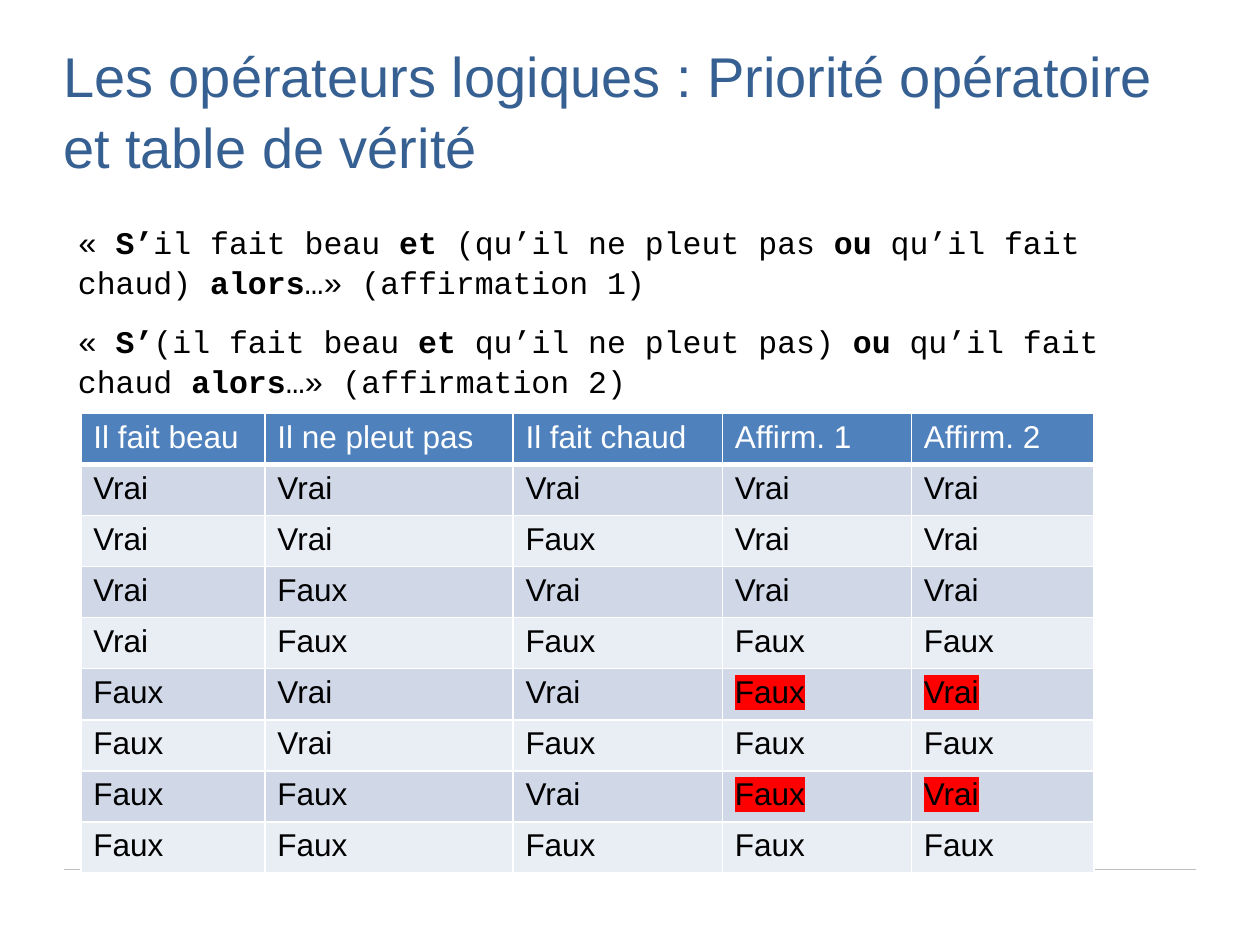
from itertools import product

from lxml import etree
from pptx import Presentation
from pptx.dml.color import RGBColor
from pptx.enum.shapes import MSO_CONNECTOR
from pptx.enum.text import MSO_ANCHOR, MSO_AUTO_SIZE, PP_ALIGN
from pptx.oxml.ns import qn
from pptx.util import Cm, Pt

LINE = MSO_CONNECTOR.STRAIGHT
TOP = MSO_ANCHOR.TOP
FIXED = MSO_AUTO_SIZE.NONE
LEFT = PP_ALIGN.LEFT

TITLE = "Les opérateurs logiques : Priorité opératoire et table de vérité"
CLAIMS = [
    ["« ", "S’", "il fait beau ", "et", " (qu’il ne pleut pas ", "ou",
     " qu’il fait chaud) ", "alors", "…» (affirmation 1)"],
    ["« ", "S’", "(il fait beau ", "et", " qu’il ne pleut pas) ", "ou",
     " qu’il fait chaud ", "alors", "…» (affirmation 2)"],
]
HEADS = ["Il fait beau", "Il ne pleut pas", "Il fait chaud", "Affirm. 1", "Affirm. 2"]
WORDS = {True: "Vrai", False: "Faux"}
WIDTHS = [3.71, 5, 4.22, 3.81, 3.68]
ROW = 1.03

THEME = {
    "sans": "Arial", "mono": "Courier New",
    "big": 32, "text": 18, "space": 1.06, "after": 10.6,
    "title": "376092", "ink": "000000", "white": "FFFFFF", "rule": "BFBFBF",
    "head": "4F81BD", "bands": ["D0D8E8", "E9EDF4"], "mark": "FF0000",
}


def add_run(para, text, color, font="sans", size="text", bold=False):
    run = para.add_run()
    run.text = text
    run.font.name = THEME[font]
    run.font.size = Pt(THEME[size])
    run.font.bold = bold
    run.font.color.rgb = RGBColor.from_string(THEME[color])
    return run


def place(shape, left, top, width, height):
    shape.left, shape.top = Cm(left), Cm(top)
    shape.width, shape.height = Cm(width), Cm(height)
    frame = shape.text_frame
    frame.margin_left = frame.margin_right = 0
    frame.margin_top = frame.margin_bottom = 0
    frame.vertical_anchor = TOP
    frame.auto_size = FIXED
    frame.word_wrap = True
    return frame


def set_para(para):
    para.alignment = LEFT
    para.line_spacing = THEME["space"]
    para.space_before = Pt(0)


def add_color(parent, tag, color):
    node = etree.SubElement(parent, qn(tag))
    etree.SubElement(node, qn("a:srgbClr")).set("val", color)
    return node


def set_edges(cell, base):
    props = cell._tc.get_or_add_tcPr()
    for spot, (side, width) in enumerate([("L", 1), ("R", 1), ("T", 1), ("B", base)]):
        edge = etree.Element(qn("a:ln" + side))
        edge.set("w", str(Pt(width)))
        add_color(edge, "a:solidFill", THEME["white"])
        props.insert(spot, edge)


def add_cell(cell, text, color, fill, base=1, mark=False):
    cell.fill.solid()
    cell.fill.fore_color.rgb = RGBColor.from_string(fill)
    set_edges(cell, base)
    run = add_run(cell.text_frame.paragraphs[0], text, color)
    if mark:
        props = run._r.get_or_add_rPr()
        glow = add_color(props, "a:highlight", THEME["mark"])
        props.find(qn("a:solidFill")).addnext(glow)


def add_title(slide):
    para = place(slide.shapes.title, 1.27, 0.76, 22.86, 3.18).paragraphs[0]
    set_para(para)
    add_run(para, TITLE, "title", size="big")


def add_claims(slide):
    frame = place(slide.placeholders[1], 1.27, 4.45, 22.86, 12.57)
    for spot, parts in enumerate(CLAIMS):
        para = frame.add_paragraph() if spot else frame.paragraphs[0]
        set_para(para)
        para.space_after = Pt(THEME["after"])
        props = para._p.get_or_add_pPr()
        props.set("marL", str(Cm(0.3)))
        props.set("indent", "0")
        etree.SubElement(props, qn("a:buNone"))
        for turn, text in enumerate(parts):
            add_run(para, text, "ink", font="mono", bold=turn % 2 == 1)


def add_rule(slide):
    rule = slide.shapes.add_connector(LINE, Cm(1.3), Cm(17.53), Cm(24.1), Cm(17.53))
    rule.line.color.rgb = RGBColor.from_string(THEME["rule"])
    rule.line.width = Pt(0.75)
    etree.SubElement(rule._element.spPr, qn("a:effectLst"))


def add_truth(slide):
    cases = list(product([True, False], repeat=3))
    count = len(cases) + 1
    table = slide.shapes.add_table(count, len(HEADS), Cm(1.63), Cm(8.33),
                                   Cm(sum(WIDTHS)), Cm(ROW * count)).table
    for col, width in zip(table.columns, WIDTHS):
        col.width = Cm(width)
    for row in table.rows:
        row.height = Cm(ROW)
    for col, text in enumerate(HEADS):
        add_cell(table.cell(0, col), text, "white", THEME["head"], base=3)
    for row, (sun, dry, warm) in enumerate(cases):
        first = sun and (dry or warm)
        second = (sun and dry) or warm
        for col, value in enumerate([sun, dry, warm, first, second]):
            mark = col > 2 and first != second and not sun
            add_cell(table.cell(row + 1, col), WORDS[value], "ink",
                     THEME["bands"][row % 2], mark=mark)


def main():
    deck = Presentation()
    deck.slide_width, deck.slide_height = Cm(25.4), Cm(19.05)
    slide = deck.slides.add_slide(deck.slide_layouts[1])
    add_rule(slide)
    add_title(slide)
    add_claims(slide)
    add_truth(slide)
    deck.save("out.pptx")


if __name__ == "__main__":
    main()
